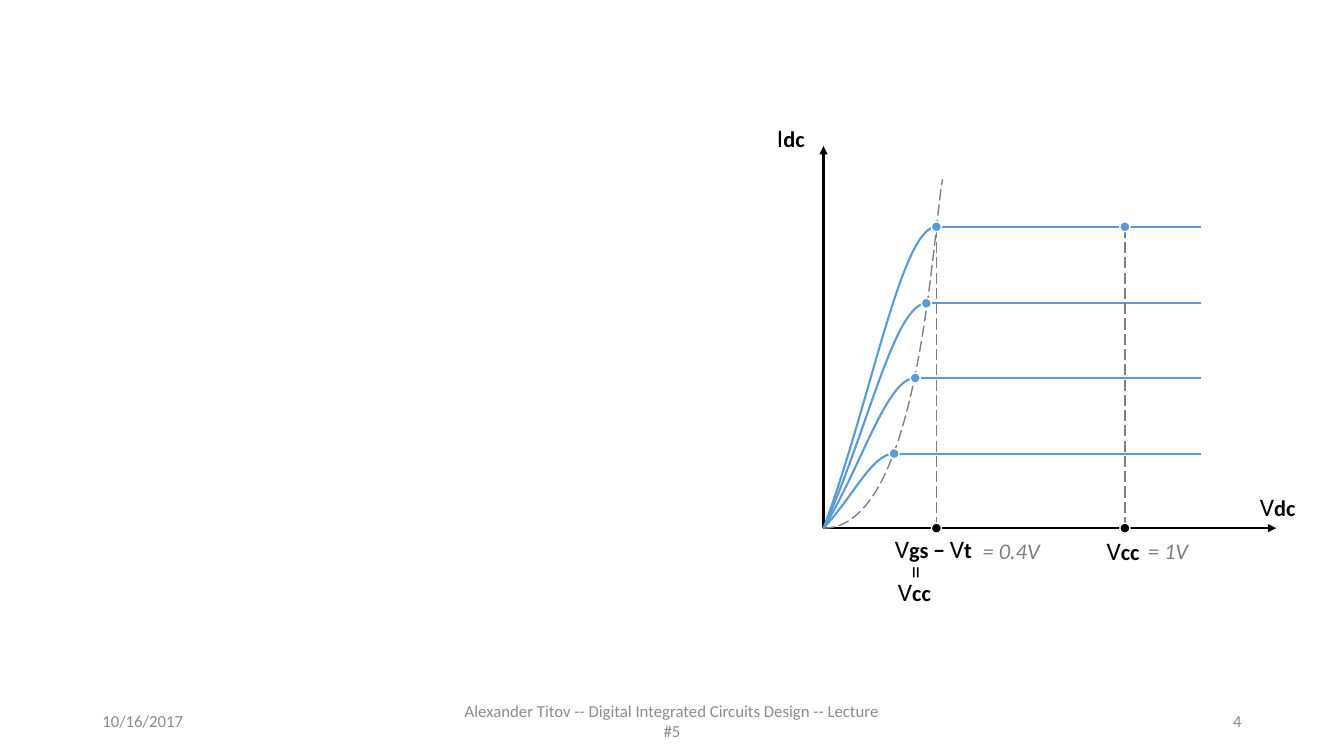
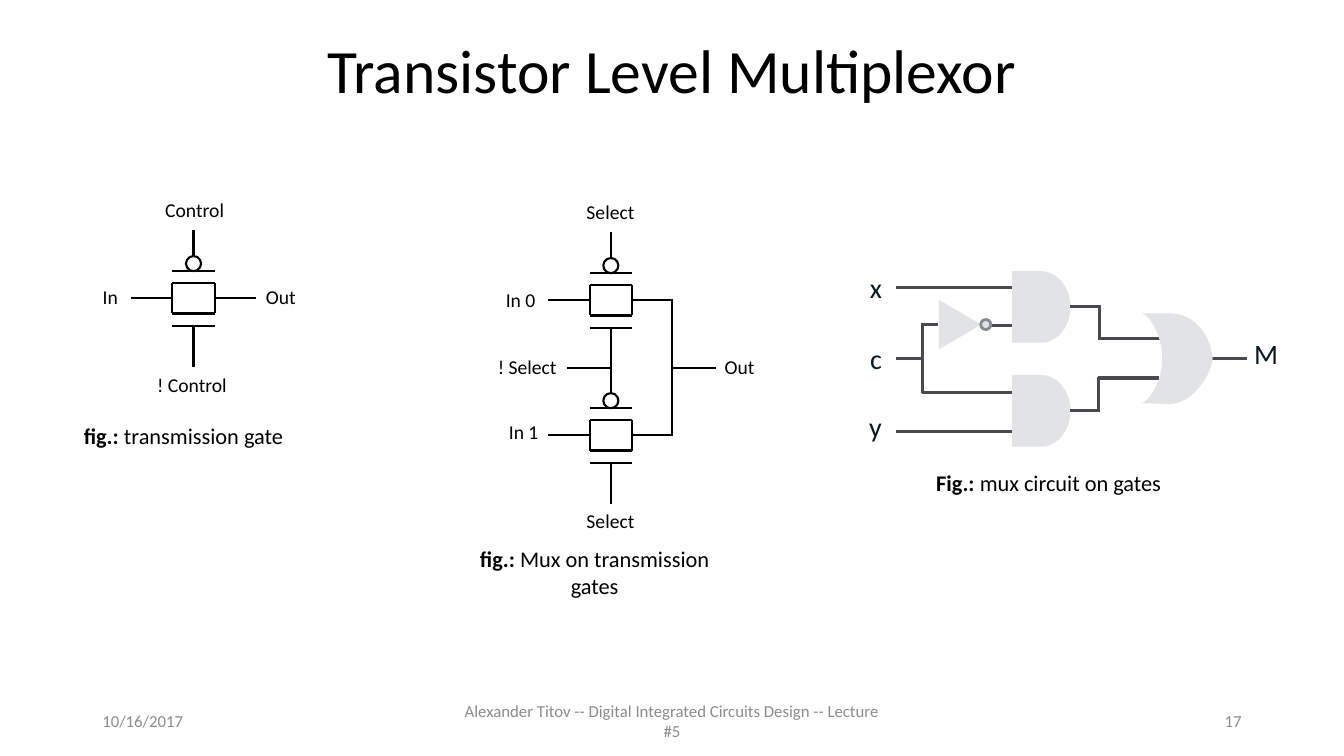
from lxml.etree import SubElement
from pptx import Presentation
from pptx.dml.color import RGBColor
from pptx.enum.dml import MSO_LINE
from pptx.enum.shapes import MSO_CONNECTOR, MSO_SHAPE as Kind
from pptx.enum.text import MSO_ANCHOR as Anchor, MSO_AUTO_SIZE as Fit, PP_ALIGN as Align
from pptx.oxml.ns import qn
from pptx.util import Inches, Pt

BLACK = RGBColor(0x00, 0x00, 0x00)
WHITE = RGBColor(0xFF, 0xFF, 0xFF)
BLUE = RGBColor(0x5B, 0x9B, 0xD5)
GRAY = RGBColor(0x80, 0x80, 0x80)
FOOT = RGBColor(0x8C, 0x8C, 0x8C)
WIRE = RGBColor(0x49, 0x4A, 0x4D)
PALE = RGBColor(0xE1, 0xE3, 0xE5)
RING = RGBColor(0x83, 0x8D, 0x92)
INK = RGBColor(0x06, 0x19, 0x22)
FONT = "Calibri"
WIDE, HIGH = 40 / 3, 7.5
SPAN = 11.5
EDGE = (WIDE - SPAN) / 2
DATE = "10/16/2017"
COURSE = "Alexander Titov -- Digital Integrated Circuits Design -- Lecture #5"


def style(font, size, color, bold=False, italic=False):
    font.name, font.size, font.color.rgb = FONT, Pt(size), color
    font.bold, font.italic = bold, italic


def sym(name, sub):
    """Runs of a quantity and its bold index."""
    return [(name, 18), (sub, 16, True)]


def bend(shape, parts):
    """Turn each part of three points into one cubic curve."""
    legs = iter(list(shape._element.iter(qn("a:lnTo"))))
    for part in parts:
        leg = next(legs)
        if len(part) == 3:
            leg.tag = qn("a:cubicBezTo")
            for _ in range(2):
                extra = next(legs)
                leg.append(extra[0])
                extra.getparent().remove(extra)


class Pad:
    """Draws on a slide, in inches from the given corner."""

    def __init__(self, slide, left=0, top=0):
        self.shapes, self.left, self.top = slide.shapes, left, top

    def spot(self, x, y):
        return Inches(self.left + x), Inches(self.top + y)

    def line(self, a, b, color=BLACK, width=1.5, dash=False, arrow=False):
        link = self.shapes.add_connector(
            MSO_CONNECTOR.STRAIGHT, *self.spot(*a), *self.spot(*b))
        link.line.color.rgb, link.line.width = color, Pt(width)
        if dash:
            link.line.dash_style = MSO_LINE.LONG_DASH
        if arrow:
            SubElement(link.line._get_or_add_ln(), qn("a:tailEnd"), type="triangle")
        SubElement(link._element.spPr, qn("a:effectLst"))

    def paint(self, shape, fill, edge, width, dash=False):
        shape.shadow.inherit = False
        if fill is None:
            shape.fill.background()
        else:
            shape.fill.solid()
            shape.fill.fore_color.rgb = fill
        if edge is None:
            shape.line.fill.background()
        else:
            shape.line.color.rgb, shape.line.width = edge, Pt(width)
        if dash:
            shape.line.dash_style = MSO_LINE.LONG_DASH
        return shape

    def form(self, kind, x, y, w, h, fill=None, edge=None, width=1.5):
        shape = self.shapes.add_shape(kind, *self.spot(x, y), Inches(w), Inches(h))
        return self.paint(shape, fill, edge, width)

    def disc(self, x, y, size, fill, edge, width):
        """A circle around its centre."""
        half = size / 2
        self.form(Kind.OVAL, x - half, y - half, size, size, fill, edge, width)

    def trace(self, start, parts, fill=None, edge=None, width=1.5,
              dash=False, close=False):
        """An outline of lines (one point) and curves (three points)."""
        build = self.shapes.build_freeform(*self.spot(*start), scale=1.0)
        build.add_line_segments([self.spot(*p) for part in parts for p in part],
                                close=close)
        shape = build.convert_to_shape()
        bend(shape, parts)
        self.paint(shape, fill, edge, width, dash)

    def text(self, x, y, w, runs, color=BLACK, align=Align.LEFT,
             wrap=False, anchor=Anchor.TOP, high=None):
        high = high or runs[0][1] / 60 + 0.1
        box = self.shapes.add_textbox(*self.spot(x, y), Inches(w), Inches(high))
        frame = box.text_frame
        frame.word_wrap, frame.vertical_anchor = wrap, anchor
        frame.auto_size = Fit.NONE if wrap else Fit.SHAPE_TO_FIT_TEXT
        para = frame.paragraphs[0]
        para.alignment = align
        for words, size, *weight in runs:
            run = para.add_run()
            run.text = words
            style(run.font, size, color, *weight)
        return box


def footer(slide, number):
    pad = Pad(slide, EDGE, 6.95)
    for x, w, words, align in ((0, 3, DATE, Align.LEFT),
                               (3.5, 4.5, COURSE, Align.CENTER),
                               (8.5, 3, str(number), Align.RIGHT)):
        pad.text(x, 0, w, [(words, 12)], FOOT, align, True, Anchor.MIDDLE, 0.4)


def title(slide, words):
    head = slide.shapes.title
    head.left, head.top = Inches(EDGE), 0
    head.width, head.height = Inches(SPAN), Inches(1.45)
    head.text_frame.vertical_anchor = Anchor.MIDDLE
    para = head.text_frame.paragraphs[0]
    para.alignment, para.line_spacing = Align.CENTER, 0.9
    run = para.add_run()
    run.text = words
    style(run.font, 44, BLACK)


def plot(pad):
    """Current against voltage, with the pad's corner as the zero point."""
    knees = (1.12, 2.99), (1.02, 2.23), (0.91, 1.49), (0.7, 0.74)
    supply, end = 2.99, 3.74
    high = knees[0][1]
    pad.line((0, 0), (0, -3.79), arrow=True)
    pad.line((0, 0), (4.49, 0), arrow=True)
    for x, y in knees:
        pad.trace((0, 0), [((0.42 * x, -0.42 * y), (0.69 * x, -y), (x, -y))],
                  edge=BLUE)
        pad.line((x, -y), (end, -y), BLUE)
    pad.trace((0, 0), [((0.94, 0), (1.07, -2.8), (1.18, -3.46))],
              edge=GRAY, width=1, dash=True)
    for x in (knees[0][0], supply):
        pad.line((x, 0), (x, -high), GRAY, 1, dash=True)
        pad.disc(x, 0, 0.1, BLACK, WHITE, 1)
    for x, y in (*knees, (supply, high)):
        pad.disc(x, -y, 0.1, BLUE, WHITE, 1)

    pad.text(-0.56, -4.08, 0.48, sym("I", "dc"))
    pad.text(4.23, -0.41, 0.56, sym("V", "dc"))
    pad.text(2.71, 0.02, 0.54, sym("V", "cc"))
    pad.text(0.6, 0, 1.03, sym("V", "gs − ") + sym("V", "t "), align=Align.CENTER)
    pad.text(0.64, 0.43, 0.54, sym("V", "cc"))
    pad.text(0.77, 0.25, 0.33, [("=", 18)]).rotation = 90
    for x, w, words in ((1.48, 0.78, "= 0.4V"), (3.12, 0.61, "= 1V")):
        pad.text(x, 0.04, w, [(words, 16, False, True)], GRAY)


def gate(pad, y=0):
    """A transmission gate centred on the pad's corner, moved down by y."""
    half, tall, bar, lead, stem, ring = 0.21, 0.15, 0.27, 0.62, 0.68, 0.15
    for end in (1, -1):
        wall, plate = y + end * tall, y + end * bar
        pad.line((-half, wall), (half, wall))
        pad.line((-half, plate), (half, plate))
        pad.line((0, plate), (0, y + end * stem))
        for x in (-half, half):
            pad.line((x, wall), (x, y))
        pad.line((end * half, y), (end * lead, y))
    pad.disc(0, y - bar - ring / 2, ring, WHITE, BLACK, 1.5)


def labels(pad, items):
    for x, y, w, words in items:
        pad.text(x, y, w, [(words, 14)])


def caption(pad, x, y, words, high=None):
    pad.text(x, y, 2.98, [("fig.:", 16, True), (words, 16)],
             align=Align.CENTER, wrap=True, high=high)


def single(pad):
    gate(pad)
    labels(pad, ((-0.38, -1.05, 0.79, "Control"), (-0.46, 0.69, 0.9, "! Control"),
                 (-1, -0.18, 0.35, "In"), (0.62, -0.18, 0.5, "Out")))
    caption(pad, -1.59, 1.18, " transmission gate")


def double(pad):
    """Two transmission gates joined into a multiplexor."""
    step, bus = 1.34, 0.61
    mid = step / 2
    for row in range(2):
        gate(pad, row * step)
    pad.line((bus, -0.01), (bus, step))
    for x in (-0.43, bus):
        pad.line((x, mid), (x + 0.43, mid))
    labels(pad, ((-0.34, -1.05, 0.68, "Select"), (-0.34, 2.02, 0.68, "Select"),
                 (-1.14, -0.17, 0.5, "In 0"), (-1.11, 1.14, 0.5, "In 1"),
                 (-1.22, 0.49, 0.79, "! Select"), (1.03, 0.49, 0.5, "Out")))
    caption(pad, -1.65, 2.38, " Mux on transmission gates", 0.64)


def logic(pad):
    """The multiplexor on gates; the corner is where the x wire starts."""
    for y in (-0.16, 0.87):
        pad.form(Kind.FLOWCHART_DELAY, 1.15, y, 0.58, 0.71, PALE)
    across = ((0, 0, 1.15), (0, 1.43, 1.15), (0, 0.71, 0.26), (0.26, 0.37, 0.42),
              (0.26, 1.04, 1.15), (0.84, 0.38, 1.15), (1.73, 0.19, 2.02),
              (2.01, 0.51, 2.63), (1.73, 1.22, 2.02), (2, 0.9, 2.61),
              (3.11, 0.71, 3.48))
    for x, y, end in across:
        pad.line((x, y), (end, y), WIRE, 2.25)
    for x, y, end in ((0.26, 0.35, 1.05), (2.02, 0.18, 0.52), (2.01, 0.89, 1.23)):
        pad.line((x, y), (x, end), WIRE, 2.25)
    pad.form(Kind.ISOSCELES_TRIANGLE, 0.39, 0.16, 0.49, 0.42, PALE).rotation = 90
    pad.disc(0.89, 0.37, 0.1, PALE, RING, 2)
    pad.trace((2.72, 0.26),
              [((2.44, 0.26),),
               ((2.51, 0.28), (2.64, 0.46), (2.64, 0.71)),
               ((2.64, 0.95), (2.51, 1.12), (2.44, 1.15)),
               ((2.7, 1.16),),
               ((2.95, 1.16), (3.13, 0.86), (3.14, 0.71)),
               ((3.14, 0.56), (3.01, 0.26), (2.72, 0.26))], fill=PALE, close=True)
    for x, y, w, name in ((-0.36, -0.22, 0.32, "x"), (-0.36, 0.49, 0.32, "c"),
                          (-0.37, 1.16, 0.33, "y"), (3.45, 0.44, 0.44, "M")):
        pad.text(x, y, w, [(name, 20)], INK, Align.CENTER, anchor=Anchor.MIDDLE)
    pad.text(0.3, 1.75, 2.46, [("Fig.: ", 16, True), ("mux circuit on gates", 16)])


def main():
    deck = Presentation()
    deck.slide_width, deck.slide_height = Inches(WIDE), Inches(HIGH)
    bare, headed = deck.slide_layouts[6], deck.slide_layouts[5]

    slide = deck.slides.add_slide(bare)
    footer(slide, 4)
    plot(Pad(slide, 8.17, 5.24))

    slide = deck.slides.add_slide(headed)
    title(slide, "Transistor Level Multiplexor")
    footer(slide, 17)
    single(Pad(slide, 1.92, 2.96))
    double(Pad(slide, 6.06, 2.98))
    logic(Pad(slide, 8.89, 2.85))
    deck.save("out.pptx")


if __name__ == "__main__":
    main()
